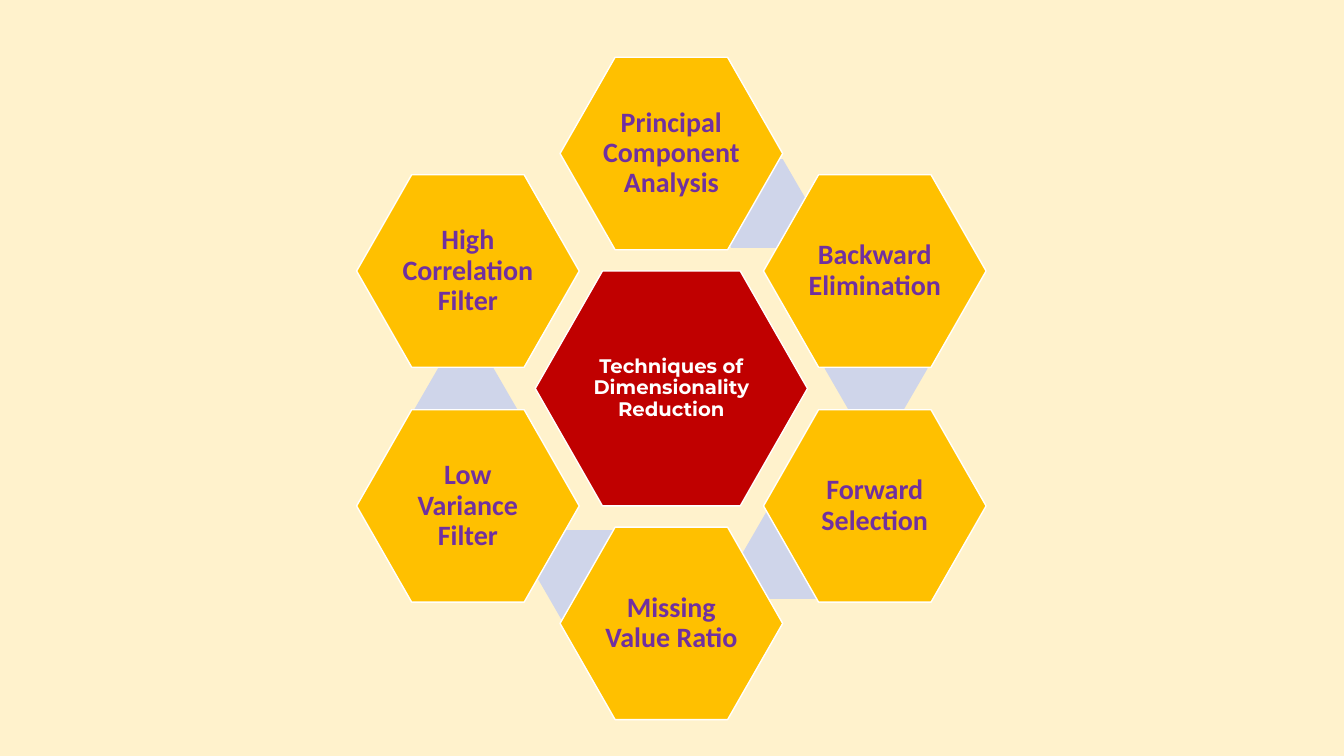
from math import cos, radians, sin

from pptx import Presentation
from pptx.dml.color import RGBColor
from pptx.enum.shapes import MSO_SHAPE
from pptx.enum.text import MSO_ANCHOR, PP_ALIGN
from pptx.util import Cm, Pt

HEXAGON = MSO_SHAPE.HEXAGON
MIDDLE = MSO_ANCHOR.MIDDLE
CENTER = PP_ALIGN.CENTER

COLORS = {
    "background": "FFF2CC",
    "core": "C00000",
    "technique": "FFC000",
    "link": "CFD5EA",
    "white": "FFFFFF",
    "purple": "7030A0",
}

# All lengths are in centimetres.
CENTER_X, CENTER_Y = 16.92, 9.79
RING_RADIUS = 5.92
CORE_SIZE = (6.86, 5.92)
TECHNIQUE_SIZE = (5.61, 4.85)
LINK_SIZE = (2.59, 2.24)

TECHNIQUES = [
    "Principal Component Analysis",
    "Backward Elimination",
    "Forward Selection",
    "Missing Value Ratio",
    "Low Variance Filter",
    "High Correlation Filter",
]
# Link centres, measured from the centre of the ring.
LINK_OFFSETS = [(2.16, -4.66), (5.16, -0.5), (3.07, 4.18), (-2.13, 4.69), (-5.18, 0.52)]


def color(name):
    return RGBColor.from_string(COLORS[name])


class HexagonPage:
    def __init__(self, page):
        self.page = page
        fill = page.background.fill
        fill.solid()
        fill.fore_color.rgb = color("background")

    def hexagon(self, offset, size, fill_name, slant=0.286):
        """Add a hexagon whose centre lies at offset from the ring's centre."""
        width, height = size
        left = CENTER_X + offset[0] - width / 2
        top = CENTER_Y + offset[1] - height / 2
        shape = self.page.shapes.add_shape(
            HEXAGON, Cm(left), Cm(top), Cm(width), Cm(height)
        )
        shape.adjustments[0] = slant
        shape.shadow.inherit = False
        shape.fill.solid()
        shape.fill.fore_color.rgb = color(fill_name)
        shape.line.fill.background()
        return shape

    def link(self, offset):
        self.hexagon(offset, LINK_SIZE, "link", slant=0.289)

    def labelled(self, text, offset, size, fill_name, font_name, points, text_color, inset):
        shape = self.hexagon(offset, size, fill_name)
        shape.line.color.rgb = color("white")
        shape.line.width = Pt(1)
        frame = shape.text_frame
        frame.text = text
        frame.word_wrap = True
        frame.vertical_anchor = MIDDLE
        frame.margin_left = frame.margin_right = Cm(inset)
        frame.margin_top = frame.margin_bottom = Cm(inset)
        para = frame.paragraphs[0]
        para.alignment = CENTER
        para.line_spacing = 0.9
        font = para.runs[0].font
        font.name = font_name
        font.size = Pt(points)
        font.bold = True
        font.color.rgb = color(text_color)

    def core(self, text):
        self.labelled(text, (0, 0), CORE_SIZE, "core", "Montserrat", 14, "white", 0.05)

    def technique(self, text, offset):
        self.labelled(
            text, offset, TECHNIQUE_SIZE, "technique", "Calibri", 20, "purple", 0.07
        )


def main():
    deck = Presentation()
    deck.slide_width, deck.slide_height = Cm(33.87), Cm(19.05)
    blank_layout = deck.slide_layouts[6]
    ring = HexagonPage(deck.slides.add_slide(blank_layout))

    ring.core("Techniques of Dimensionality Reduction")
    for offset in LINK_OFFSETS:
        ring.link(offset)
    for index, name in enumerate(TECHNIQUES):
        angle = radians(index * 360 / len(TECHNIQUES) - 90)
        ring.technique(name, (RING_RADIUS * cos(angle), RING_RADIUS * sin(angle)))

    deck.save("out.pptx")


if __name__ == "__main__":
    main()
